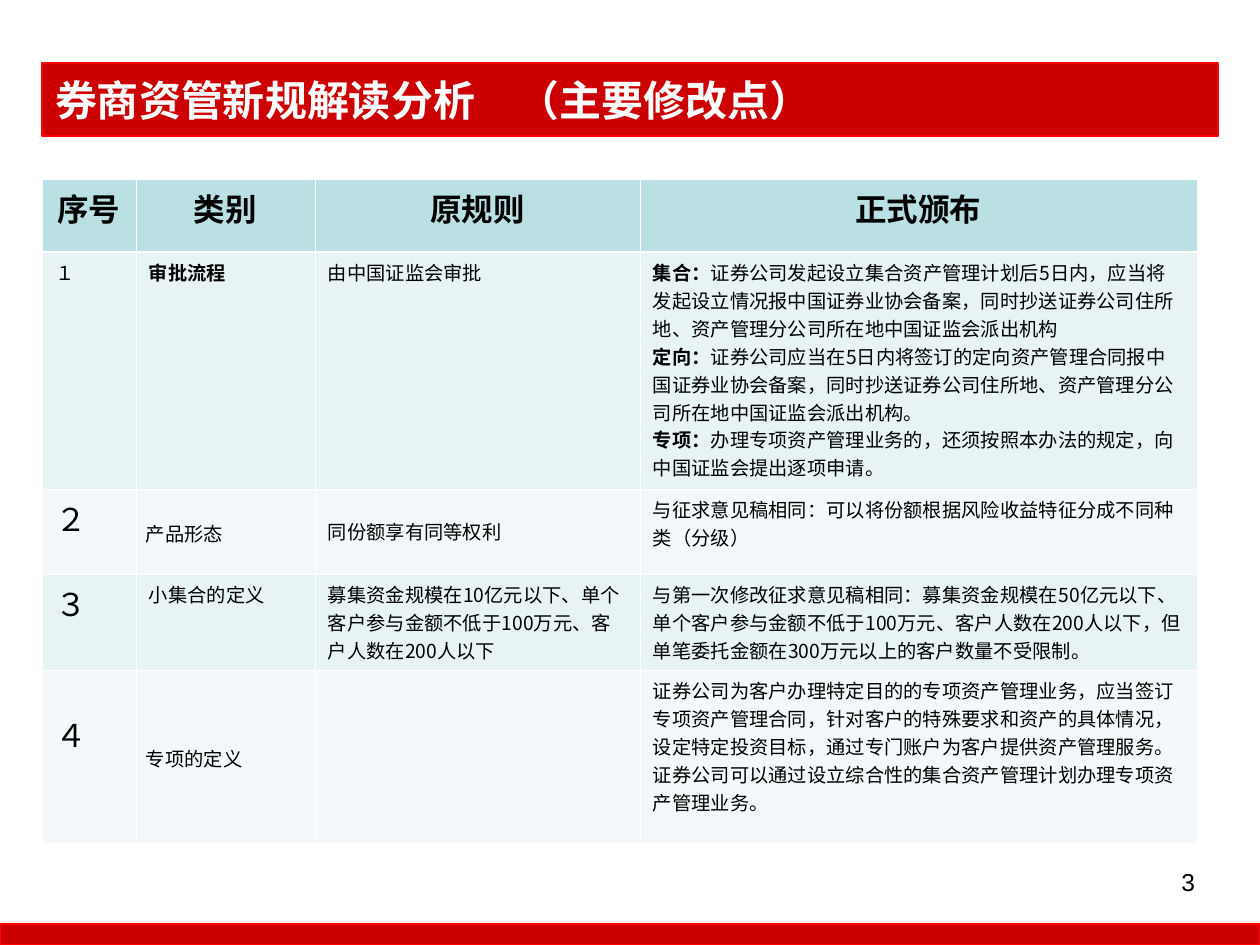
from lxml.etree import SubElement
from pptx import Presentation
from pptx.dml.color import RGBColor
from pptx.enum.shapes import MSO_SHAPE
from pptx.enum.text import MSO_ANCHOR, PP_ALIGN
from pptx.oxml.ns import qn
from pptx.util import Emu, Pt

# Content: a cell is a list of paragraphs, a paragraph a list of (text, bold)
TITLE = "券商资管新规解读分析　（主要修改点）"
PAGE_NUMBER = "3"
HEADER = ["序号", "类别", "原规则", "正式颁布"]
ROWS = [
    [
        [[("１", False)]],
        [[("审批流程", True)]],
        [[("由中国证监会审批", False)]],
        [
            [("集合：", True), ("证券公司发起设立集合资产管理计划后5日内，应当将发起设立情况报中国证券业协会备案，同时抄送证券公司住所地、资产管理分公司所在地中国证监会派出机构", False)],
            [("定向：", True), ("证券公司应当在5日内将签订的定向资产管理合同报中国证券业协会备案，同时抄送证券公司住所地、资产管理分公司所在地中国证监会派出机构。", False)],
            [("专项：", True), ("办理专项资产管理业务的，还须按照本办法的规定，向中国证监会提出逐项申请。", False)],
        ],
    ],
    [
        [[("２", False)]],
        [[("产品形态", False)]],
        [[("同份额享有同等权利", False)]],
        [[("与征求意见稿相同：可以将份额根据风险收益特征分成不同种类（分级）", False)]],
    ],
    [
        [[("３", False)]],
        [[("小集合的定义", False)]],
        [[("募集资金规模在10亿元以下、单个客户参与金额不低于100万元、客户人数在200人以下", False)]],
        [[("与第一次修改征求意见稿相同：募集资金规模在50亿元以下、单个客户参与金额不低于100万元、客户人数在200人以下，但单笔委托金额在300万元以上的客户数量不受限制。", False)]],
    ],
    [
        [[("４", False)]],
        [[("专项的定义", False)]],
        [],
        [
            [("证券公司为客户办理特定目的的专项资产管理业务，应当签订专项资产管理合同，针对客户的特殊要求和资产的具体情况，设定特定投资目标，通过专门账户为客户提供资产管理服务。", False)],
            [("证券公司可以通过设立综合性的集合资产管理计划办理专项资产管理业务。", False)],
        ],
    ],
]

# Layout in px
COLUMN_WIDTHS = [94, 179, 325, 557]
ROW_HEIGHTS = [73, 237, 85, 96, 173]
TOP_MARGINS = {(2, 2): 28, (4, 0): 41}  # cells whose text starts lower
MIDDLE_CELLS = {(2, 1), (4, 1)}
NO_HANGING_CELLS = {(3, 3)}  # closing punctuation stays inside the cell
COLORS = {
    "bar": "CC0000", "bar_line": "FF0000", "white": "FFFFFF", "text": "000000",
    "header": "BBE0E3", "odd": "E7F3F4", "even": "F3F9FA",
}
LATIN, CJK = "Arial", "Noto Sans CJK SC"


def px(value):
    return Emu(round(value * 914400 / 126))


def color(name):
    return RGBColor.from_string(COLORS[name])


def add_run(paragraph, text, size, font=CJK, bold=False, fill="text"):
    run = paragraph.add_run()
    run.text = text
    run.font.size = Pt(size)
    run.font.name = font
    run.font.bold = bold
    run.font.color.rgb = color(fill)
    SubElement(run.font._element, qn("a:ea"), typeface=CJK)


def set_margins(target, top=6, side=13):
    target.margin_left = target.margin_right = px(side)
    target.margin_top, target.margin_bottom = px(top), px(6)


def add_bar(slide, left, top, width, height):
    shape = slide.shapes.add_shape(
        MSO_SHAPE.RECTANGLE, px(left), px(top), px(width), px(height))
    shape.shadow.inherit = False
    shape.fill.solid()
    shape.fill.fore_color.rgb = color("bar")
    shape.line.color.rgb = color("bar_line")
    shape.line.width = Pt(0.75)
    return shape


def set_borders(cell, row):
    properties = cell._tc.get_or_add_tcPr()
    thick_side = {0: "B", 1: "T"}.get(row)
    for index, side in enumerate("LRTB"):
        width = Pt(1.47 if side == thick_side else 0.45)
        line = SubElement(properties, qn(f"a:ln{side}"), w=str(int(width)))
        fill = SubElement(line, qn("a:solidFill"))
        SubElement(fill, qn("a:srgbClr"), val=COLORS["white"])
        properties.insert(index, line)  # borders precede the fill


def fill_cell(cell, row, column, paragraphs):
    middle = (row, column) in MIDDLE_CELLS
    shade = "header" if row == 0 else "odd" if row % 2 else "even"
    cell.fill.solid()
    cell.fill.fore_color.rgb = color(shade)
    set_borders(cell, row)
    set_margins(cell, TOP_MARGINS.get((row, column), 6), 10 if middle else 13)
    cell.vertical_anchor = MSO_ANCHOR.MIDDLE if middle else MSO_ANCHOR.TOP
    large = row == 0 or (column == 0 and row > 1)
    frame = cell.text_frame
    for index, runs in enumerate(paragraphs):
        paragraph = frame.add_paragraph() if index else frame.paragraphs[0]
        paragraph.alignment = PP_ALIGN.LEFT if row else PP_ALIGN.CENTER
        if middle:
            paragraph.line_spacing = 1.15
        if (row, column) in NO_HANGING_CELLS:
            paragraph._p.get_or_add_pPr().set("hangingPunct", "0")
        for text, bold in runs:
            add_run(paragraph, text, 18 if large else 11,
                    LATIN if large else CJK, bold)


def main():
    presentation = Presentation()
    presentation.slide_width, presentation.slide_height = px(1260), px(945)
    slide = presentation.slides.add_slide(presentation.slide_layouts[6])

    # Footer bar and page number
    add_bar(slide, 0, 924, 1260, 21)
    number = slide.shapes.add_textbox(px(914), px(861), px(294), px(66))
    number.text_frame.word_wrap = True
    set_margins(number.text_frame)
    paragraph = number.text_frame.paragraphs[0]
    paragraph.alignment = PP_ALIGN.RIGHT
    add_run(paragraph, PAGE_NUMBER, 14, LATIN)

    # Title bar
    frame = add_bar(slide, 42, 63, 1176, 73).text_frame
    frame.word_wrap = False
    frame.vertical_anchor = MSO_ANCHOR.MIDDLE
    set_margins(frame)
    frame.paragraphs[0].alignment = PP_ALIGN.LEFT
    add_run(frame.paragraphs[0], TITLE, 24, LATIN, True, "white")

    # Comparison table
    cells = [[[[(text, True)]] for text in HEADER]] + ROWS
    table = slide.shapes.add_table(
        len(cells), len(HEADER), px(42), px(179),
        px(sum(COLUMN_WIDTHS)), px(sum(ROW_HEIGHTS))).table
    table.horz_banding = False
    for column, width in zip(table.columns, COLUMN_WIDTHS):
        column.width = px(width)
    for row, height in zip(table.rows, ROW_HEIGHTS):
        row.height = px(height)
    for row, contents in enumerate(cells):
        for column, paragraphs in enumerate(contents):
            fill_cell(table.cell(row, column), row, column, paragraphs)

    presentation.save("out.pptx")


if __name__ == "__main__":
    main()
